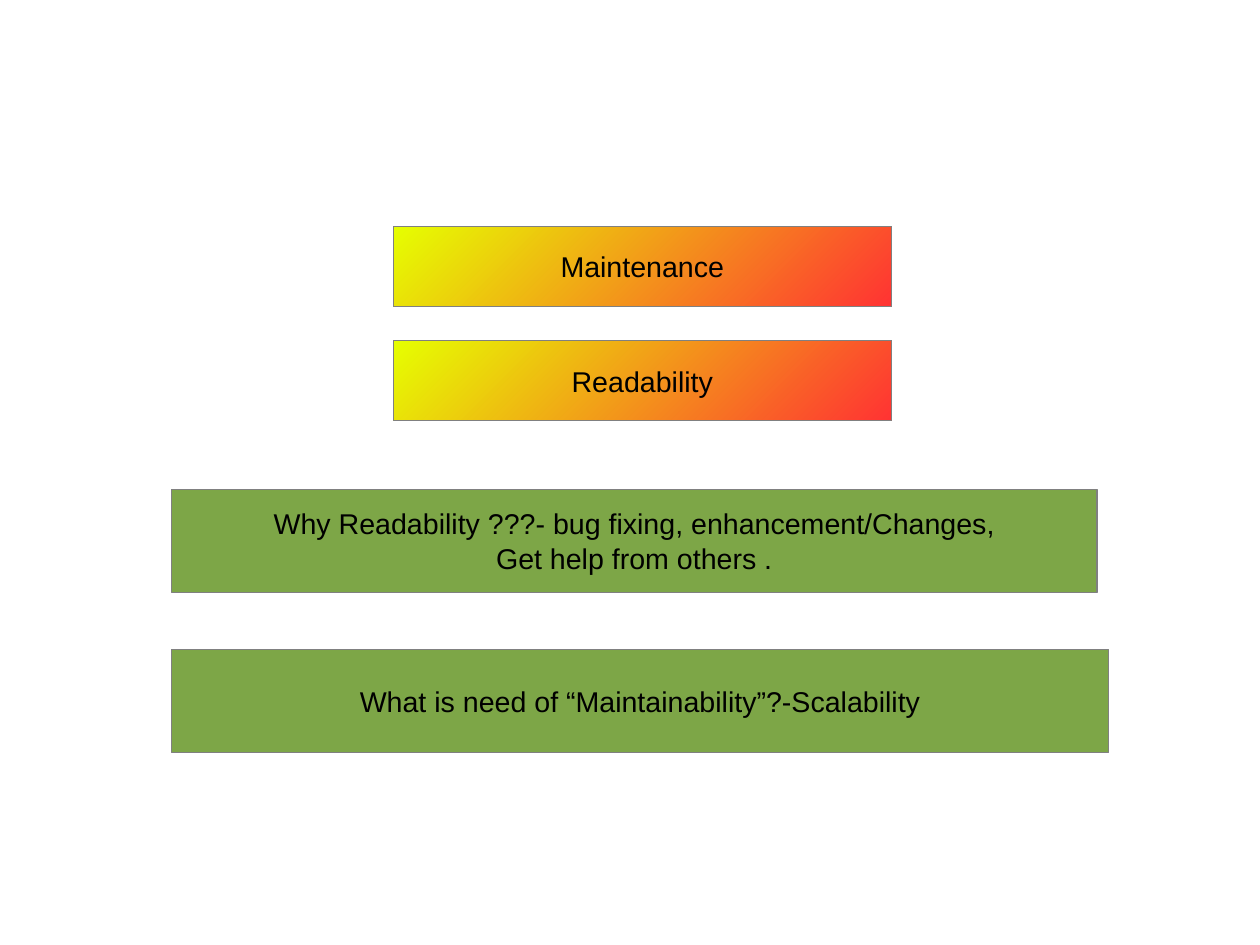
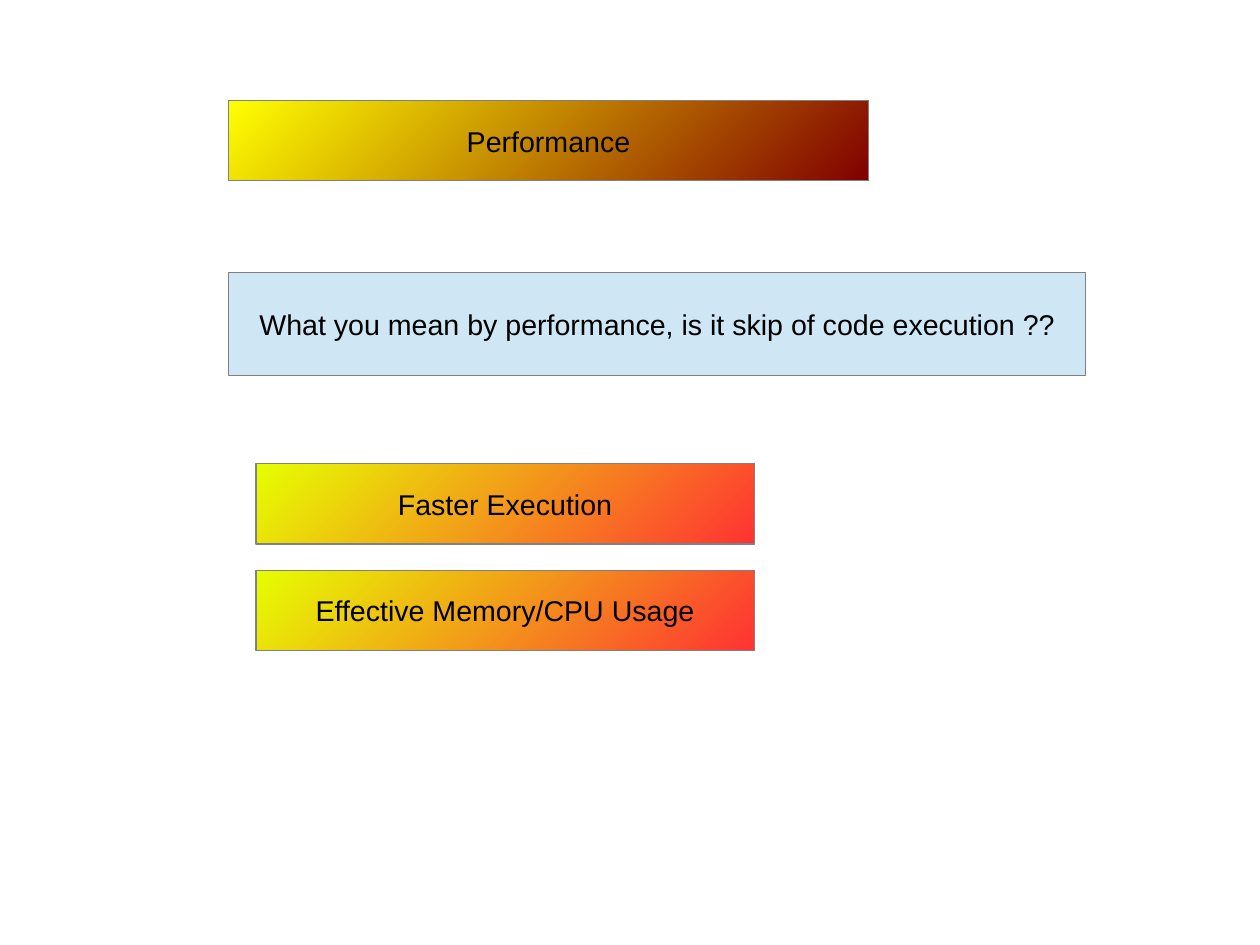
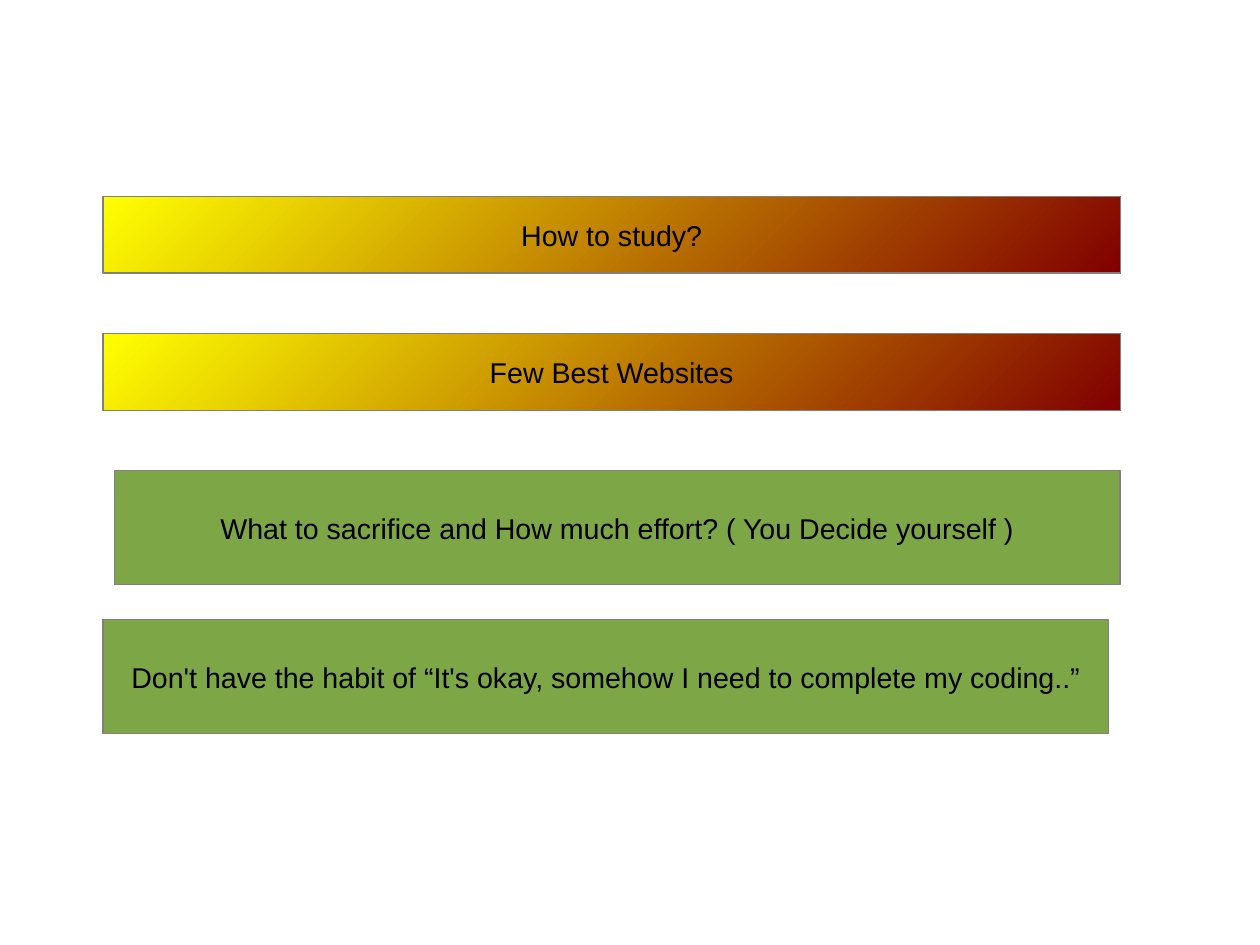
from dataclasses import dataclass

import pptx
import pptx.dml.color
import pptx.enum.shapes
import pptx.enum.text
import pptx.slide
import pptx.util
from pptx.util import Cm

HUES: dict[str, str] = {
    "lime": "E6FF00",
    "red": "FF3333",
    "yellow": "FFFF00",
    "maroon": "800000",
    "green": "7DA647",
    "sky": "CFE7F5",
    "grey": "808080",
    "black": "000000",
}
FONT = "Arial"
WARM = ("lime", "red")
DARK = ("yellow", "maroon")
GREEN = ("green",)
SKY = ("sky",)


@dataclass(frozen=True)
class Stack:
    fill: tuple[str, ...]
    left: float
    top: float
    width: float
    height: float
    texts: tuple[str, ...]
    step: float = 0


DECK: tuple[tuple[Stack, ...], ...] = (
    (
        Stack(WARM, 8.74, 5.03, 11.07, 1.78, ("Maintenance", "Readability"), 2.54),
        Stack(GREEN, 3.81, 10.87, 20.57, 2.29,
              ("Why Readability ???- bug fixing, enhancement/Changes,\nGet help from others .",)),
        Stack(GREEN, 3.81, 14.43, 20.83, 2.29,
              ("What is need of “Maintainability”?-Scalability",)),
    ),
    (
        Stack(DARK, 5.08, 2.24, 14.22, 1.78, ("Performance",)),
        Stack(SKY, 5.08, 6.05, 19.05, 2.29,
              ("What you mean by performance, is it skip of code execution ??",)),
        Stack(WARM, 5.69, 10.31, 11.07, 1.78,
              ("Faster Execution", "Effective Memory/CPU Usage"), 2.36),
    ),
    (
        Stack(DARK, 2.29, 4.37, 22.61, 1.7, ("How to study?", "Few Best Websites"), 3.05),
        Stack(GREEN, 2.54, 10.46, 22.35, 2.54,
              ("What to sacrifice and How much effort? ( You Decide yourself )",)),
        Stack(GREEN, 2.29, 13.77, 22.35, 2.54,
              ("Don't have the habit of “It's okay, somehow I need to complete my coding..”",)),
    ),
)


def tint(name: str) -> pptx.dml.color.RGBColor:
    return pptx.dml.color.RGBColor.from_string(HUES[name])


def add_bar(slide: pptx.slide.Slide, stack: Stack, top: float, text: str) -> None:
    bar = slide.shapes.add_shape(
        pptx.enum.shapes.MSO_SHAPE.RECTANGLE,
        Cm(stack.left), Cm(top), Cm(stack.width), Cm(stack.height),
    )
    bar.shadow.inherit = False
    bar.line.color.rgb = tint("grey")
    bar.line.width = pptx.util.Pt(0.75)
    if len(stack.fill) > 1:
        bar.fill.gradient()
        bar.fill.gradient_angle = 315
        for stop, name in zip(bar.fill.gradient_stops, stack.fill):
            stop.color.rgb = tint(name)
    else:
        bar.fill.solid()
        bar.fill.fore_color.rgb = tint(stack.fill[0])

    frame = bar.text_frame
    frame.word_wrap = False
    frame.vertical_anchor = pptx.enum.text.MSO_ANCHOR.MIDDLE
    for spot, line in enumerate(text.split("\n")):
        para = frame.add_paragraph() if spot else frame.paragraphs[0]
        para.alignment = pptx.enum.text.PP_ALIGN.CENTER
        run = para.add_run()
        run.text = line
        run.font.name = FONT
        run.font.size = pptx.util.Pt(18)
        run.font.color.rgb = tint("black")


def add_stack(slide: pptx.slide.Slide, stack: Stack) -> None:
    for row, text in enumerate(stack.texts):
        add_bar(slide, stack, stack.top + row * stack.step, text)


def main() -> None:
    deck = pptx.Presentation()
    deck.slide_width = Cm(28)
    deck.slide_height = Cm(21)
    for page in DECK:
        slide = deck.slides.add_slide(deck.slide_layouts[6])
        for stack in page:
            add_stack(slide, stack)
    deck.save("out.pptx")


if __name__ == "__main__":
    main()
